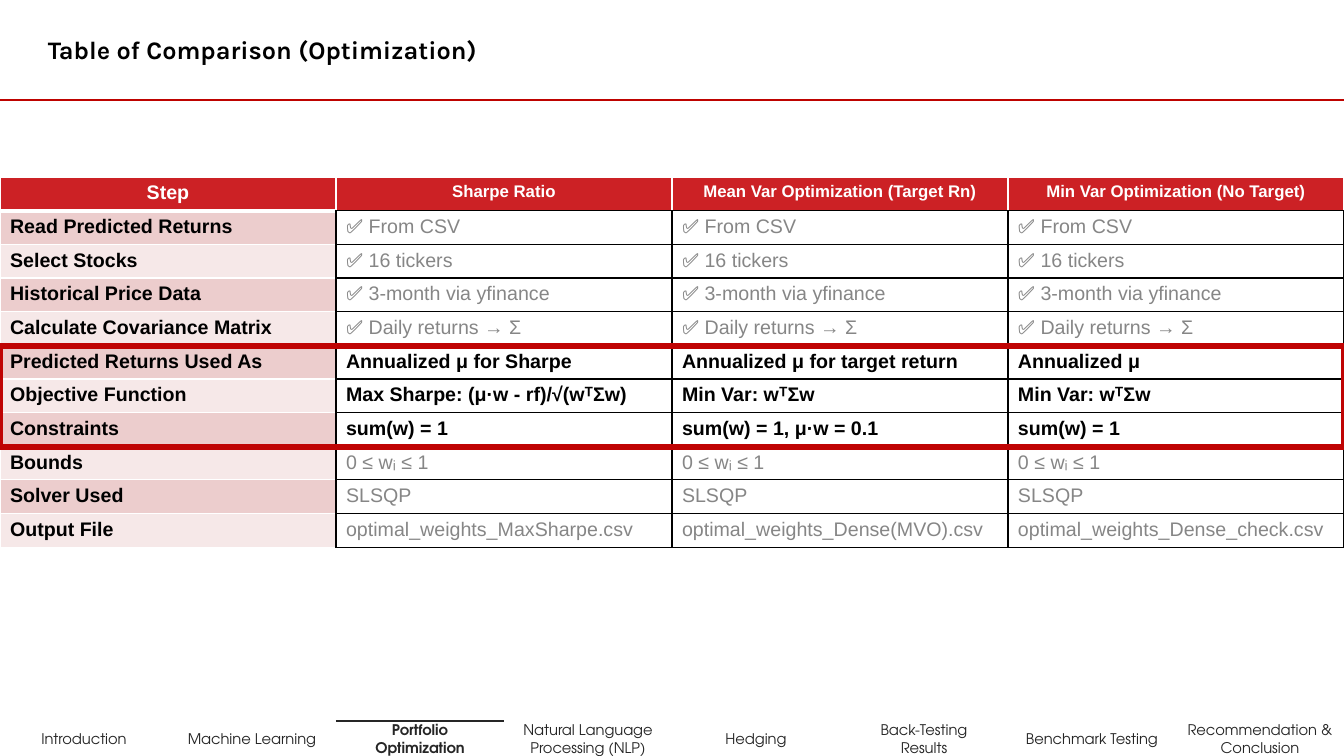
"""Build the optimization comparison slide."""
from lxml.etree import SubElement
from pptx import Presentation
from pptx.dml.color import RGBColor
from pptx.enum.shapes import MSO_CONNECTOR, MSO_SHAPE
from pptx.enum.text import MSO_ANCHOR, PP_ALIGN
from pptx.oxml.ns import qn
from pptx.util import Emu, Pt

TITLE = "Table of Comparison (Optimization)"
HEADS = ["Step", "Sharpe Ratio", "Mean Var Optimization (Target Rn)",
         "Min Var Optimization (No Target)"]
STEPS = [
    ("Read Predicted Returns", ["✅ From CSV"] * 3),
    ("Select Stocks", ["✅ 16 tickers"] * 3),
    ("Historical Price Data", ["✅ 3-month via yfinance"] * 3),
    ("Calculate Covariance Matrix", ["✅ Daily returns → Σ"] * 3),
    ("Predicted Returns Used As", ["Annualized μ for Sharpe",
                                   "Annualized μ for target return",
                                   "Annualized μ"]),
    ("Objective Function", ["Max Sharpe: (μ·w - rf)/√(wᵀΣw)",
                            "Min Var: wᵀΣw", "Min Var: wᵀΣw"]),
    ("Constraints", ["sum(w) = 1", "sum(w) = 1, μ·w = 0.1", "sum(w) = 1"]),
    ("Bounds", ["0 ≤ wᵢ ≤ 1"] * 3),
    ("Solver Used", ["SLSQP"] * 3),
    ("Output File", ["optimal_weights_MaxSharpe.csv",
                     "optimal_weights_Dense(MVO).csv",
                     "optimal_weights_Dense_check.csv"]),
]
FOCUS = {"Predicted Returns Used As", "Objective Function", "Constraints"}
TABS = [["Introduction"], ["Machine Learning"], ["Portfolio Optimization"],
        ["Natural Language Processing (NLP)"], ["Hedging"],
        ["Back-Testing", "Results"], ["Benchmark Testing"],
        ["Recommendation & Conclusion"]]
ACTIVE = 2
WIDE, HIGH = 1344, 756
TAB_TOP, TAB_HIGH = 721, 35
TAB_WIDE = WIDE // len(TABS)
WHITE, BLACK, GREY, INK = "FFFFFF", "000000", "868686", "262626"


def px(n):
    """Turn pixels into EMU."""
    return Emu(round(n * 914400 / 100.8))


def color(code):
    """Turn a hex string into a colour."""
    return RGBColor.from_string(code)


def write(para, text, font, size, code, bold=False, align=PP_ALIGN.LEFT):
    """Add one styled run to a paragraph."""
    para.alignment = align
    run = para.add_run()
    run.text = text
    run.font.name = font
    run.font.size = Pt(size)
    run.font.bold = bold
    run.font.color.rgb = color(code)


def box(slide, x, y, w, h):
    """Add a wrapping text box and return its frame."""
    frame = slide.shapes.add_textbox(px(x), px(y), px(w), px(h)).text_frame
    frame.word_wrap = True
    return frame


def rule(slide, x, end, y, code):
    """Draw a level line."""
    line = slide.shapes.add_connector(
        MSO_CONNECTOR.STRAIGHT, px(x), px(y), px(end), px(y))
    line.line.color.rgb = color(code)
    line.line.width = Pt(2)
    SubElement(line._element.spPr, qn("a:effectLst"))


def edge(cell, left, right, top, bottom, base=1):
    """Set the four borders of a cell."""
    props = cell._tc.get_or_add_tcPr()
    for side, code, size in (("L", left, 1), ("R", right, 1),
                             ("T", top, 1), ("B", bottom, base)):
        line = SubElement(props, qn(f"a:ln{side}"), w=str(Pt(size)))
        fill = SubElement(line, qn("a:solidFill"))
        SubElement(fill, qn("a:srgbClr"), val=code)


def paint(cell, code):
    """Fill a cell."""
    cell.fill.solid()
    cell.fill.fore_color.rgb = color(code)


def grid(slide):
    """Add the comparison table."""
    rows, cols = len(STEPS) + 1, len(HEADS)
    table = slide.shapes.add_table(
        rows, cols, px(0), px(177), px(WIDE), px(370)).table
    table.horz_banding = False
    for col, head in enumerate(HEADS):
        cell = table.cell(0, col)
        first = col == 0
        edge(cell, WHITE, WHITE, WHITE, WHITE if first else BLACK,
             3 if first else 1)
        paint(cell, "CC2125")
        write(cell.text_frame.paragraphs[0], head, "Arial",
              14 if first else 12, WHITE, True, PP_ALIGN.CENTER)
    for row, (step, notes) in enumerate(STEPS, 1):
        cell = table.cell(row, 0)
        edge(cell, WHITE, BLACK, WHITE, WHITE)
        paint(cell, "ECCDCD" if row % 2 else "F6E8E8")
        write(cell.text_frame.paragraphs[0], step, "Arial", 14, BLACK, True)
        bold = step in FOCUS
        for col, note in enumerate(notes, 1):
            cell = table.cell(row, col)
            edge(cell, BLACK, BLACK, BLACK, BLACK)
            cell.fill.background()
            write(cell.text_frame.paragraphs[0], note, "Arial", 14,
                  BLACK if bold else GREY, bold)


def tabs(slide):
    """Add the section names along the foot."""
    for i, lines in enumerate(TABS):
        frame = box(slide, i * TAB_WIDE, TAB_TOP, TAB_WIDE, TAB_HIGH)
        frame.vertical_anchor = MSO_ANCHOR.MIDDLE
        for j, line in enumerate(lines):
            para = frame.add_paragraph() if j else frame.paragraphs[0]
            write(para, line, "TeX Gyre Adventor", 10.5, INK,
                  i == ACTIVE, PP_ALIGN.CENTER)
    start = ACTIVE * TAB_WIDE
    rule(slide, start, start + TAB_WIDE, TAB_TOP, INK)


def main():
    """Build and save the slide."""
    deck = Presentation()
    deck.slide_width, deck.slide_height = px(WIDE), px(HIGH)
    slide = deck.slides.add_slide(deck.slide_layouts[6])
    rule(slide, 0, WIDE, 100, "BE0300")
    tabs(slide)
    write(box(slide, 38, 29, 1132, 40).paragraphs[0],
          TITLE, "Karla", 18, BLACK, True)
    grid(slide)
    frame = slide.shapes.add_shape(
        MSO_SHAPE.RECTANGLE, px(0), px(346), px(WIDE), px(101))
    frame.shadow.inherit = False
    frame.fill.background()
    frame.line.color.rgb = color("BF0404")
    frame.line.width = Pt(4.5)
    deck.save("out.pptx")


if __name__ == "__main__":
    main()
